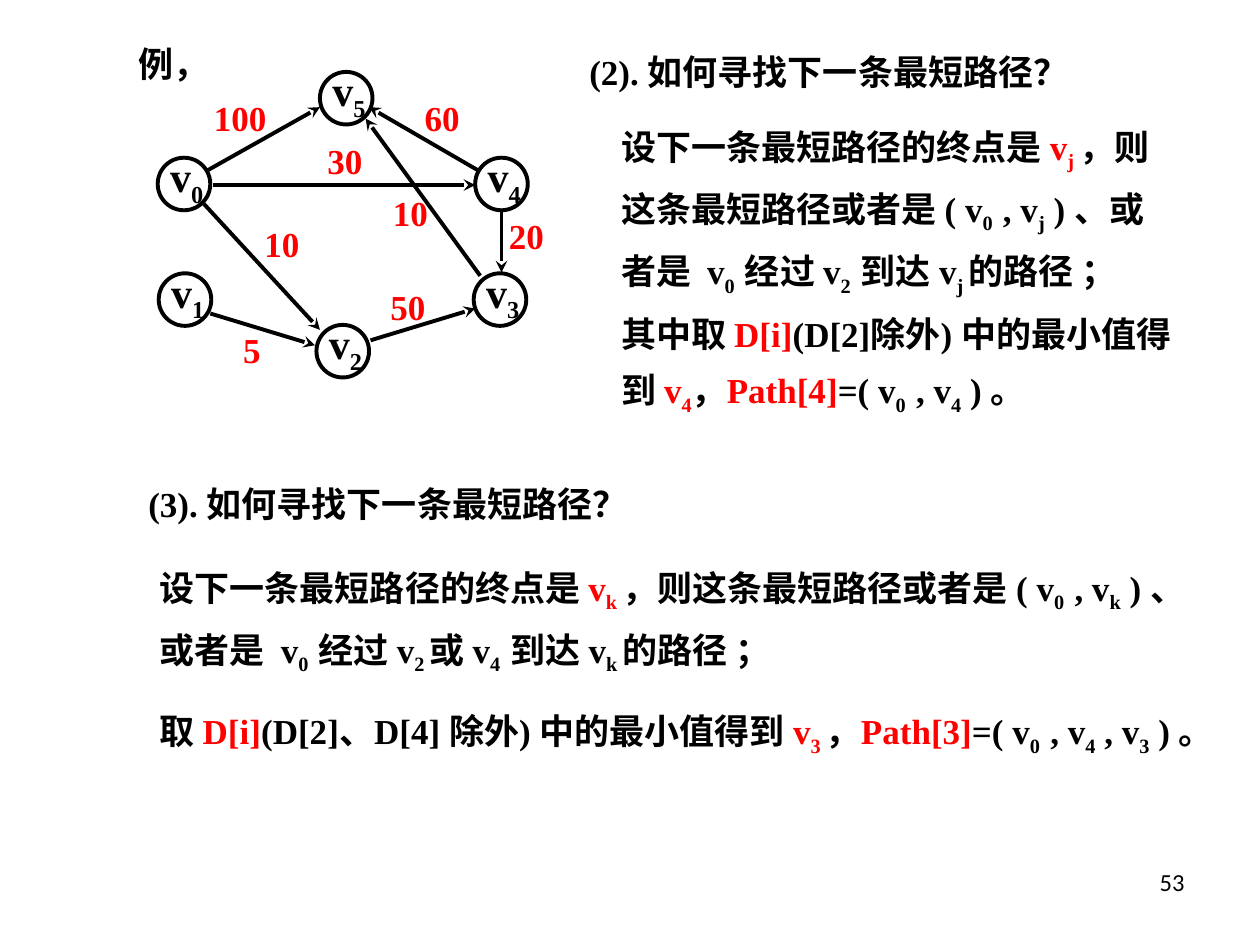
"""Build the slide on finding successive shortest paths in a weighted digraph."""
from dataclasses import dataclass

import lxml.etree
import pptx
import pptx.dml.color
import pptx.enum.shapes
import pptx.enum.text
import pptx.oxml.ns
import pptx.util

Cm = pptx.util.Cm
COLOURS = {"ink": "000000", "accent": "FF0000"}
SERIF = {"name": "Times New Roman", "size": pptx.util.Pt(20), "bold": True}
VERTEX = {**SERIF, "size": pptx.util.Pt(24)}
PAGE = {"name": "Calibri", "size": pptx.util.Pt(14), "bold": False}
DIAMETER = 1.06


@dataclass
class Passage:
    """Text in which | switches the accent colour and _ switches subscript."""
    text: str
    left: float
    top: float
    width: float
    height: float
    spacing: float = 1.3


@dataclass
class Vertex:
    """A numbered graph vertex, placed by the corner of its circle."""
    index: int
    left: float
    top: float


@dataclass
class Edge:
    """A weighted arrow and the place of its weight."""
    weight: int
    start: tuple[float, float]
    end: tuple[float, float]
    label: tuple[float, float]


PASSAGES = [
    Passage("例，", 2.54, 0.74, 3.6, 1.12, 1.0),
    Passage("(2). 如何寻找下一条最短路径？", 11.63, 0.64, 11.25, 1.37),
    Passage("设下一条最短路径的终点是 |v_j _|，则这条最短路径或者是 ( v_0  _, v_j_ ) 、"
            "或者是  v_0  _经过 v_2  _到达 v_j _的路径 ；", 12.27, 2.11, 11.63, 4.01),
    Passage("其中取 |D[i]|(D[2]除外) 中的最小值得到 |v_4_|，|Path[4]|=( v_0  _, v_4_ ) 。",
            12.27, 5.92, 11.63, 2.62),
    Passage("(3). 如何寻找下一条最短路径？", 2.74, 9.35, 11.94, 1.37),
    Passage("设下一条最短路径的终点是 |v_k _|，则这条最短路径或者是 ( v_0  _, v_k_ ) 、"
            "或者是  v_0  _经过 v_2 _或 v_4  _到达 v_k _的路径 ；", 2.97, 11.0, 21.39, 2.77),
    Passage("取 |D[i]|(D[2]、D[4] 除外) 中的最小值得到 |v_3 _|，|Path[3]|"
            "=( v_0  _, v_4_ , v_3_ ) 。", 2.97, 13.89, 21.79, 2.77),
]
PAGE_NUMBER = Passage("53", 18.21, 17.35, 5.92, 1.32, 1.0)
VERTICES = [
    Vertex(0, 3.18, 3.18),
    Vertex(1, 3.2, 5.51),
    Vertex(2, 6.38, 6.55),
    Vertex(3, 9.55, 5.51),
    Vertex(4, 9.58, 3.18),
    Vertex(5, 6.45, 1.45),
]
EDGES = [
    Edge(100, (4.19, 3.43), (6.45, 2.16), (4.06, 1.83)),
    Edge(60, (9.63, 3.43), (7.44, 2.16), (8.31, 1.83)),
    Edge(30, (4.29, 3.73), (9.58, 3.73), (6.35, 2.69)),
    Edge(10, (4.11, 4.11), (6.45, 6.65), (5.08, 4.37)),
    Edge(5, (4.24, 6.32), (6.35, 6.96), (4.65, 6.5)),
    Edge(50, (7.47, 6.86), (9.58, 6.22), (7.62, 5.64)),
    Edge(20, (10.11, 4.22), (10.11, 5.49), (10.01, 4.19)),
    Edge(10, (9.68, 5.56), (7.37, 2.39), (7.67, 3.73)),
]


def rgb(colour: str) -> pptx.dml.color.RGBColor:
    """Look up a named colour."""
    return pptx.dml.color.RGBColor.from_string(COLOURS[colour])


def write(slide, passage: Passage, style: dict = SERIF, align=pptx.enum.text.PP_ALIGN.LEFT) -> None:
    """Write a passage in a text box."""
    box = slide.shapes.add_textbox(
        Cm(passage.left), Cm(passage.top), Cm(passage.width), Cm(passage.height))
    box.text_frame.word_wrap = True
    paragraph = box.text_frame.paragraphs[0]
    paragraph.alignment = align
    paragraph.line_spacing = passage.spacing
    for part_number, part in enumerate(passage.text.split("|")):
        for piece_number, piece in enumerate(part.split("_")):
            if not piece:
                continue
            run = paragraph.add_run()
            run.text = piece
            for attribute, value in style.items():
                setattr(run.font, attribute, value)
            run.font.color.rgb = rgb("accent" if part_number % 2 else "ink")
            if piece_number % 2:
                run._r.get_or_add_rPr().set("baseline", "-25000")


def ink_line(shape) -> None:
    """Give a shape the line shared by circles and arrows."""
    shape.line.color.rgb = rgb("ink")
    shape.line.width = pptx.util.Pt(2.25)


def draw_vertex(slide, vertex: Vertex) -> None:
    """Draw a circle with its vertex name."""
    circle = slide.shapes.add_shape(
        pptx.enum.shapes.MSO_SHAPE.OVAL,
        Cm(vertex.left), Cm(vertex.top), Cm(DIAMETER), Cm(DIAMETER))
    circle.shadow.inherit = False
    circle.fill.background()
    ink_line(circle)
    name = Passage(f"v_{vertex.index}_", vertex.left, vertex.top - 0.27, 1.9, 1.42, 1.0)
    write(slide, name, VERTEX)


def draw_edge(slide, edge: Edge) -> None:
    """Draw an arrow with its weight."""
    arrow = slide.shapes.add_connector(
        pptx.enum.shapes.MSO_CONNECTOR.STRAIGHT,
        *(Cm(length) for length in edge.start + edge.end))
    ink_line(arrow)
    properties = arrow._element.spPr
    qn = pptx.oxml.ns.qn
    lxml.etree.SubElement(properties.find(qn("a:ln")), qn("a:tailEnd"), type="stealth")
    lxml.etree.SubElement(properties, qn("a:effectLst"))
    write(slide, Passage(f"|{edge.weight}", *edge.label, 1.7, 1.12, 1.0))


def main() -> None:
    """Assemble and save the slide."""
    deck = pptx.Presentation()
    deck.slide_width, deck.slide_height = Cm(25.4), Cm(19.05)
    slide = deck.slides.add_slide(deck.slide_layouts[6])
    for vertex in VERTICES:
        draw_vertex(slide, vertex)
    for edge in EDGES:
        draw_edge(slide, edge)
    for passage in PASSAGES:
        write(slide, passage)
    write(slide, PAGE_NUMBER, PAGE, pptx.enum.text.PP_ALIGN.RIGHT)
    deck.save("out.pptx")


if __name__ == "__main__":
    main()
